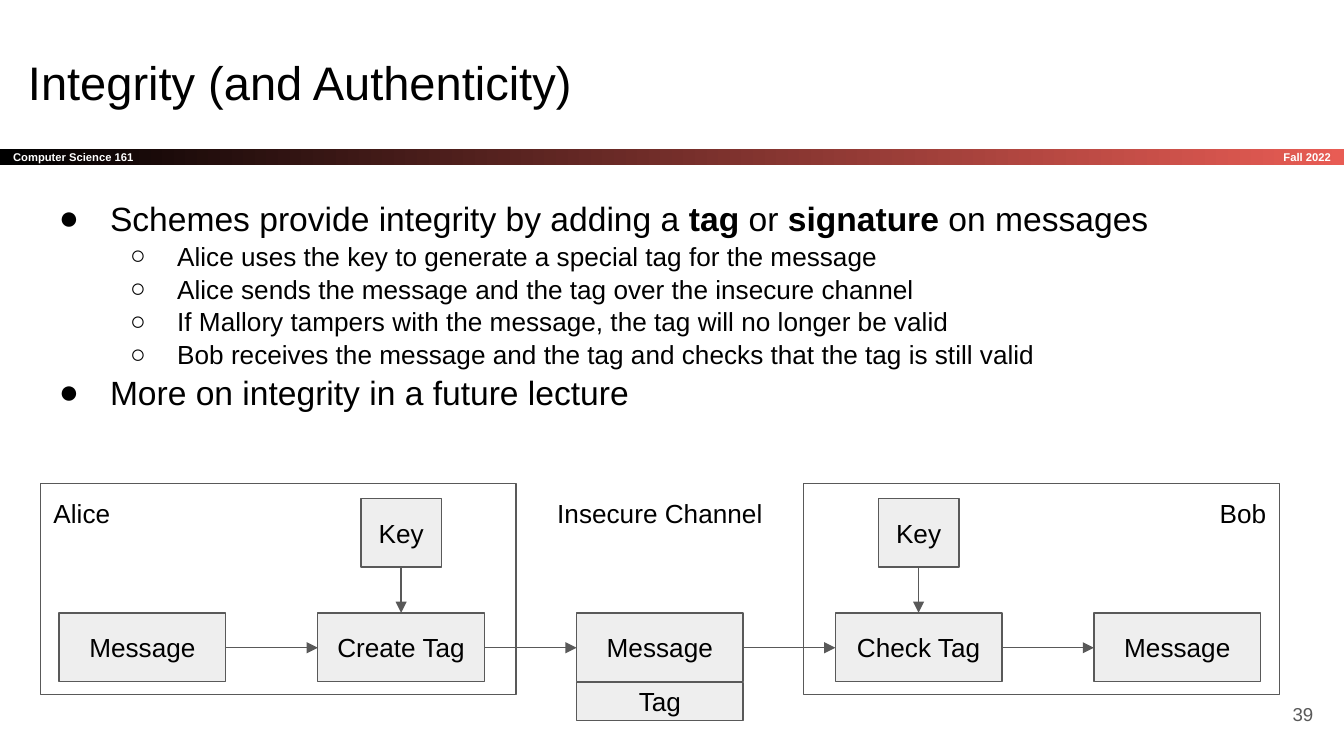
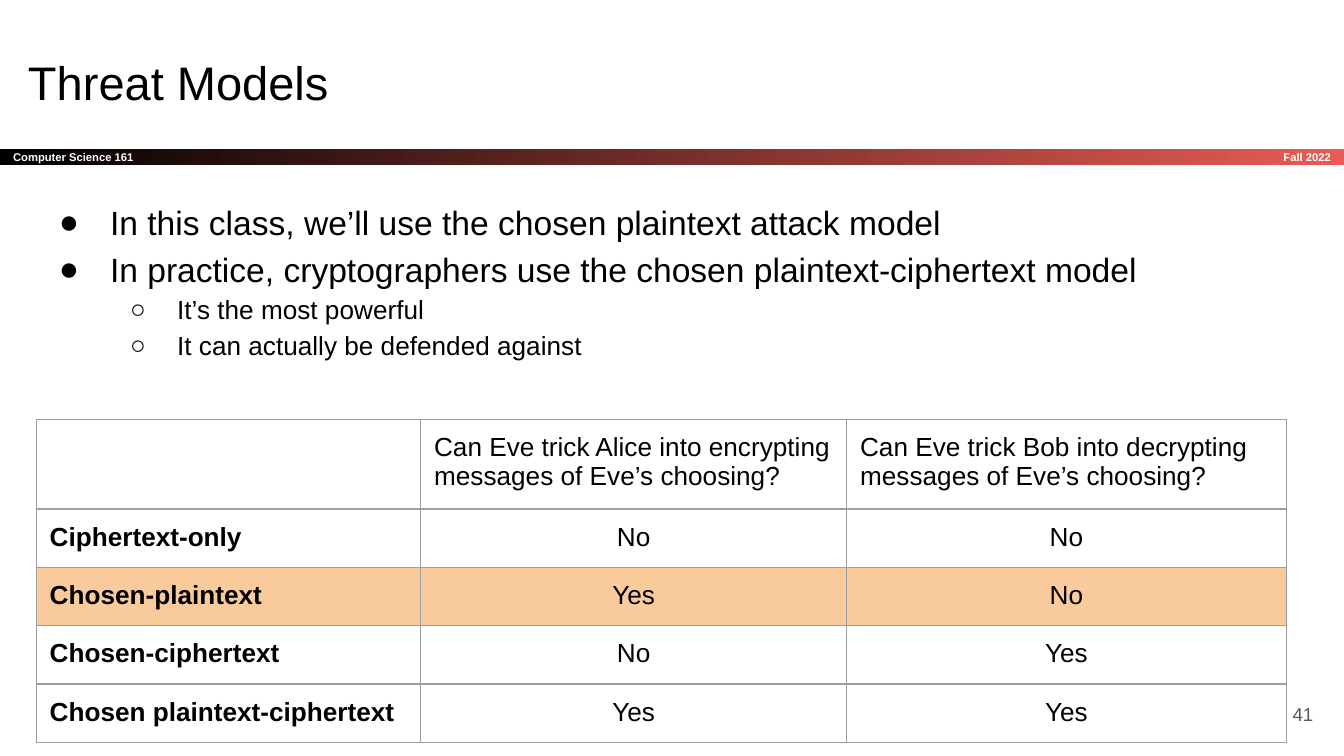
from lxml import etree
from pptx import Presentation
from pptx import util as u
from pptx.dml.color import RGBColor
from pptx.enum import shapes, text
from pptx.oxml import ns, parse_xml

rgb = RGBColor.from_string
BLACK, WHITE, GREY, RED = "000000", "FFFFFF", "595959", "E85C54"
BOX_FILL, BORDER, HIGHLIGHT = "EEEEEE", "9E9E9E", "F9CB9C"
LEFT, CENTER, RIGHT = text.PP_ALIGN.LEFT, text.PP_ALIGN.CENTER, text.PP_ALIGN.RIGHT
TOP, MIDDLE = text.MSO_ANCHOR.TOP, text.MSO_ANCHOR.MIDDLE
MARGINS = {f"margin_{side}": u.Inches(0.1) for side in ("left", "right", "top", "bottom")}
BULLETS = [("●", 0.5, 0.38, 18), ("○", 1, 0.35, 14)]


def write(p, words, size, color=BLACK, bold=False, align=LEFT):
    p.alignment = align
    for i, part in enumerate(words.split("*")):
        if part:
            r = p.add_run()
            r.text = part
            fmt = {"name": "Arial", "size": u.Pt(size), "bold": bold or i % 2 == 1}
            for name, value in fmt.items():
                setattr(r.font, name, value)
            r.font.color.rgb = rgb(color)


def add_box(s, at, words="", size=14, fill=None, line=None, anchor=TOP, **style):
    x, y, w, h = map(u.Inches, at)
    if fill or line:
        sp = s.shapes.add_shape(shapes.MSO_SHAPE.RECTANGLE, x, y, w, h)
        sp.shadow.inherit = False
    else:
        sp = s.shapes.add_textbox(x, y, w, h)
    if fill:
        sp.fill.solid()
        sp.fill.fore_color.rgb = rgb(fill)
    else:
        sp.fill.background()
    if line:
        sp.line.color.rgb = rgb(line)
        sp.line.width = u.Pt(0.75)
    else:
        sp.line.fill.background()
    tf = sp.text_frame
    for name, value in {**MARGINS, "word_wrap": True, "vertical_anchor": anchor}.items():
        setattr(tf, name, value)
    if words:
        write(tf.paragraphs[0], words, size, **style)
    return sp


prs = Presentation()
prs.slide_width, prs.slide_height = u.Inches(10), u.Inches(10 * 9 / 16)

pages = [
    ("Integrity (and Authenticity)", "39", 1.05, [
        (0, "Schemes provide integrity by adding a *tag* or *signature* on messages"),
        (1, "Alice uses the key to generate a special tag for the message"),
        (1, "Alice sends the message and the tag over the insecure channel"),
        (1, "If Mallory tampers with the message, the tag will no longer be valid"),
        (1, "Bob receives the message and the tag and checks that the tag is still valid"),
        (0, "More on integrity in a future lecture"),
    ]),
    ("Threat Models", "41", 1.15, [
        (0, "In this class, we’ll use the chosen plaintext attack model"),
        (0, "In practice, cryptographers use the chosen plaintext-ciphertext model"),
        (1, "It’s the most powerful"),
        (1, "It can actually be defended against"),
    ]),
]

for title, number, spacing, items in pages:
    s = prs.slides.add_slide(prs.slide_layouts[6])
    s.background.fill.solid()
    s.background.fill.fore_color.rgb = rgb(WHITE)

    band = add_box(s, (0, 1.11, 10, 0.12), "Computer Science 161", 6, fill=BLACK,
                   anchor=MIDDLE, color=WHITE, bold=True)
    band.fill.gradient()
    band.fill.gradient_angle = 0
    for stop, position, color in zip(band.fill.gradient_stops, (0, 1), (BLACK, RED)):
        stop.position = position
        stop.color.rgb = rgb(color)
    add_box(s, (8.34, 1.11, 1.66, 0.12), "Fall 2022", 6, anchor=MIDDLE,
            color=WHITE, bold=True, align=RIGHT)

    add_box(s, (0.11, 0.3, 9.32, 0.63), title, 25.2)
    add_box(s, (9.27, 5.1, 0.6, 0.43), number, 10, anchor=MIDDLE, color=GREY, align=RIGHT)

    tf = add_box(s, (0.22, 1.36, 9.32, 1.83)).text_frame
    for i, (level, words) in enumerate(items):
        p = tf.add_paragraph() if i else tf.paragraphs[0]
        char, indent, hanging, size = BULLETS[level]
        p.level = level
        p.line_spacing = spacing
        pPr = p._p.get_or_add_pPr()
        pPr.set("marL", str(u.Inches(indent)))
        pPr.set("indent", str(-u.Inches(hanging)))
        color = etree.SubElement(pPr, ns.qn("a:buClr"))
        etree.SubElement(color, ns.qn("a:srgbClr"), val=BLACK)
        etree.SubElement(pPr, ns.qn("a:buFont"), typeface="Arial")
        etree.SubElement(pPr, ns.qn("a:buChar"), char=char)
        write(p, words, size)

s = prs.slides[0]
for x in (5.98, 0.3):
    add_box(s, (x, 3.6, 3.54, 1.57), line=GREY)

node = {"fill": BOX_FILL, "line": GREY, "anchor": MIDDLE, "align": CENTER}
left, right = 0.44, 8.14
step_w, step_h, step_y = 1.24, 0.51, 4.56
key_w, key_y = 0.6, 3.71
steps = ["Message", "Create Tag", "Message", "Check Tag", "Message"]
pitch = (right - left) / (len(steps) - 1)
arrows = []
for i, words in enumerate(steps):
    x = left + i * pitch
    add_box(s, (x, step_y, step_w, step_h), words, **node)
    if i < len(steps) - 1:
        arrows.append((x + step_w, 4.82, x + pitch, 4.82))
    if "Tag" in words:
        mid = x + step_w / 2
        add_box(s, (mid - key_w / 2, key_y, key_w, step_h), "Key", **node)
        arrows.append((mid, key_y + step_h, mid, step_y))
add_box(s, (4.29, 5.08, step_w, 0.28), "Tag", **node)

for ends in arrows:
    c = s.shapes.add_connector(shapes.MSO_CONNECTOR.STRAIGHT, *map(u.Inches, ends))
    c.line.color.rgb = rgb(GREY)
    c.line.width = u.Pt(0.75)
    etree.SubElement(c.line._get_or_add_ln(), ns.qn("a:tailEnd"), type="triangle")
    etree.SubElement(c._element.spPr, ns.qn("a:effectLst"))

for words, x, w, align in [("Alice", 0.3, 0.84, LEFT), ("Bob", 8.68, 0.84, RIGHT),
                           ("Insecure Channel", 3.84, 2.14, CENTER)]:
    add_box(s, (x, 3.6, w, 0.44), words, align=align)

rows = [
    ("", "Can Eve trick Alice into encrypting messages of Eve’s choosing?",
     "Can Eve trick Bob into decrypting messages of Eve’s choosing?"),
    ("Ciphertext-only", "No", "No"),
    ("Chosen-plaintext", "Yes", "No"),
    ("Chosen-ciphertext", "No", "Yes"),
    ("Chosen plaintext-ciphertext", "Yes", "Yes"),
]
widths, row_h = [2.86, 3.17, 3.27], 0.42
s = prs.slides[1]
frame = s.shapes.add_table(len(rows), len(widths), u.Inches(0.27), u.Inches(3.12),
                           u.Inches(sum(widths)), u.Inches(row_h * len(rows)))
table = frame.table
table.first_row = table.horz_banding = False
for column, w in zip(table.columns, widths):
    column.width = u.Inches(w)
for i, row in enumerate(rows):
    table.rows[i].height = u.Inches(row_h)
    for j, words in enumerate(row):
        cell = table.cell(i, j)
        for name, value in MARGINS.items():
            setattr(cell, name, value)
        tcPr = cell._tc.get_or_add_tcPr()
        for side in "LRTB":
            tcPr.append(parse_xml(
                f'<a:ln{side} {ns.nsdecls("a")} w="{u.Pt(0.75)}"><a:solidFill>'
                f'<a:srgbClr val="{BORDER}"/></a:solidFill></a:ln{side}>'))
        if row[0] == "Chosen-plaintext":
            cell.fill.solid()
            cell.fill.fore_color.rgb = rgb(HIGHLIGHT)
        else:
            cell.fill.background()
        write(cell.text_frame.paragraphs[0], words, 14, bold=j == 0,
              align=CENTER if i and j else LEFT)
frame.width = frame.height = u.Inches(3.28)

prs.save("out.pptx")
